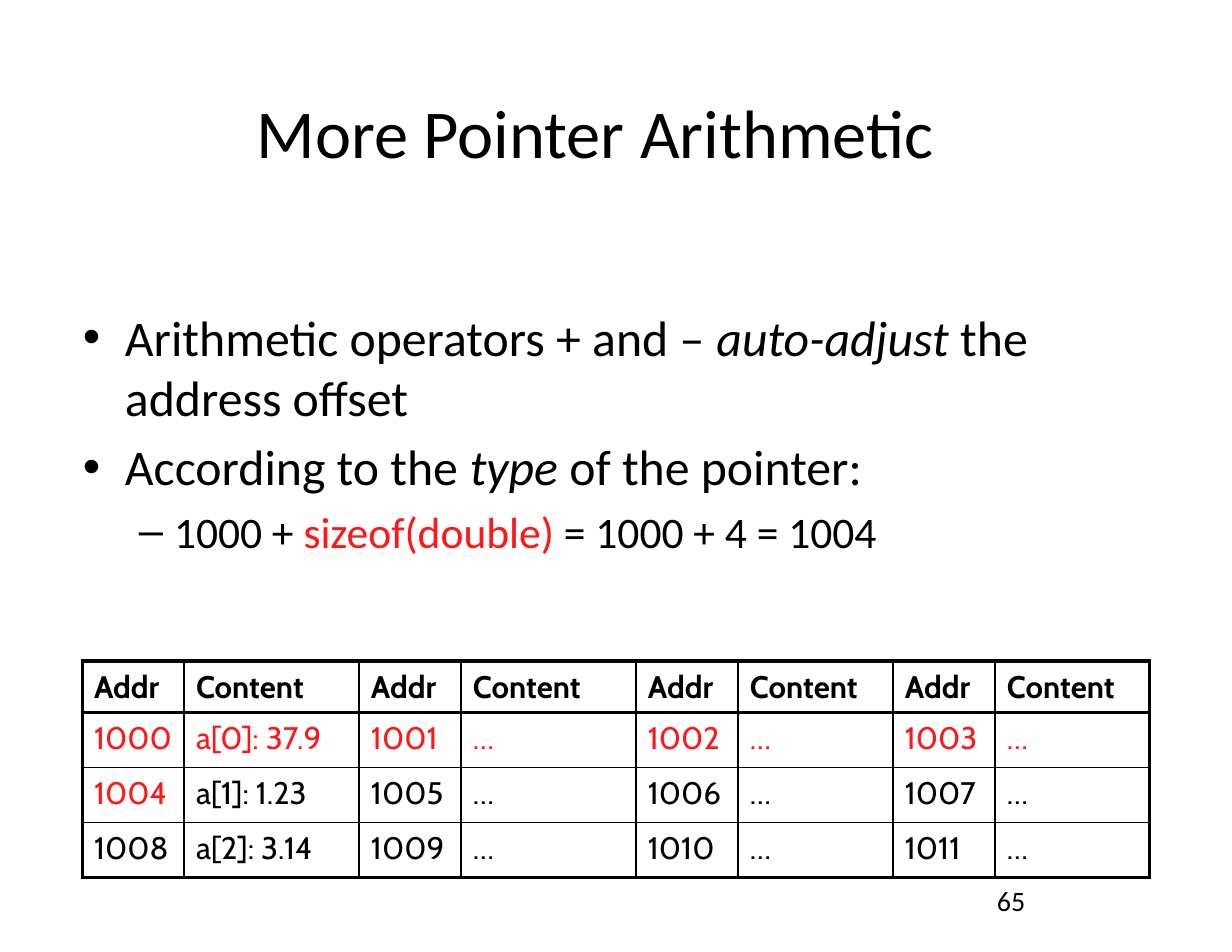
from lxml.etree import SubElement
from pptx import Presentation
from pptx.dml.color import RGBColor
from pptx.enum.text import PP_ALIGN
from pptx.oxml.ns import qn
from pptx.util import Emu, Pt

PX = 914400 // 112
THEME = {
    "ink": RGBColor(0, 0, 0),
    "accent": RGBColor(0xFF, 0x17, 0x17),
    "text_font": "Calibri",
    "table_font": "Cabin",
    "title": 44,
    "bullet": 32,
    "sub_bullet": 28,
    "table": 20,
    "number": 18,
    "thin": 1,
    "thick": 2.25,
}


def add_box(left, top, width, height):
    box = page.shapes.add_textbox(*(Emu(n * PX) for n in (left, top, width, height)))
    box.text_frame.word_wrap = True
    return box.text_frame


def style(para, size, font=THEME["text_font"], color=THEME["ink"]):
    para.font.size = Pt(size)
    para.font.name = font
    para.font.color.rgb = color


deck = Presentation()
deck.slide_width = Emu(1232 * PX)
deck.slide_height = Emu(952 * PX)
page = deck.slides.add_slide(deck.slide_layouts[6])

number = add_box(986, 878, 256, 64).paragraphs[0]
number.text = "65"
style(number, THEME["number"])

title = add_box(72, 85, 1047, 159).paragraphs[0]
title.text = "More Pointer Arithmetic"
title.alignment = PP_ALIGN.CENTER
style(title, THEME["title"])

bullets = [
    (0, [("Arithmetic operators + and – ", ""), ("auto-adjust", "italic"), (" the address offset", "")]),
    (0, [("According to the ", ""), ("type", "italic"), (" of the pointer:", "")]),
    (1, [("1000 + ", ""), ("sizeof(double)", "accent"), (" = 1000 + 4 = 1004", "")]),
]
levels = [("•", "bullet", 42, 42), ("–", "sub_bullet", 91, 35)]
body = add_box(72, 301, 1109, 554)
for index, (level, spans) in enumerate(bullets):
    mark, size, margin, hanging = levels[level]
    para = body.add_paragraph() if index else body.paragraphs[0]
    para.level = level
    para.space_before = Pt(THEME[size] * 0.2)
    properties = para._p.get_or_add_pPr()
    properties.set("marL", str(margin * PX))
    properties.set("indent", str(-hanging * PX))
    SubElement(properties, qn("a:buFont"), typeface="Arial")
    SubElement(properties, qn("a:buChar"), char=mark)
    style(para, THEME[size])
    for text, look in spans:
        span = para.add_run()
        span.text = text
        if look == "italic":
            span.font.italic = True
        elif look == "accent":
            span.font.color.rgb = THEME["accent"]

column_widths = [102, 175, 102, 175, 102, 155, 102, 155]
row_heights = [50, 55, 55, 55]
values = ["a[0]: 37.9", "a[1]: 1.23", "a[2]: 3.14"]
rows = [["Addr", "Content"] * 4]
for index, value in enumerate(values):
    row = []
    for offset in range(4):
        row += [str(1000 + 4 * index + offset), "…" if offset else value]
    rows.append(row)

frame = page.shapes.add_table(
    len(rows), len(column_widths), Emu(82 * PX), Emu(661 * PX),
    Emu(sum(column_widths) * PX), Emu(sum(row_heights) * PX),
)
table = frame.table
table.first_row = False
table.horz_banding = False
for column, width in zip(table.columns, column_widths):
    column.width = Emu(width * PX)
for table_row, height in zip(table.rows, row_heights):
    table_row.height = Emu(height * PX)

last_row, last_column = len(rows) - 1, len(column_widths) - 1
for r, row in enumerate(rows):
    for c, text in enumerate(row):
        cell = table.cell(r, c)
        cell.margin_left = cell.margin_right = Emu(12 * PX)
        cell.margin_top = cell.margin_bottom = Emu(7 * PX)
        para = cell.text_frame.paragraphs[0]
        para.text = text
        para.space_before = Pt(THEME["table"] * 0.2)
        highlighted = r == 1 or (r, c) == (2, 0)
        color = THEME["accent"] if highlighted else THEME["ink"]
        style(para, THEME["table"], THEME["table_font"], color)
        para.font.bold = r == 0
        thick_sides = {
            "L": c == 0,
            "R": c == last_column,
            "T": r <= 1,
            "B": r in (0, last_row),
        }
        cell_properties = cell._tc.get_or_add_tcPr()
        for side, thick in thick_sides.items():
            weight = Pt(THEME["thick" if thick else "thin"])
            line = SubElement(cell_properties, qn(f"a:ln{side}"), w=str(weight))
            fill = SubElement(line, qn("a:solidFill"))
            SubElement(fill, qn("a:srgbClr"), val=str(THEME["ink"]))
        cell.fill.background()

deck.save("out.pptx")
